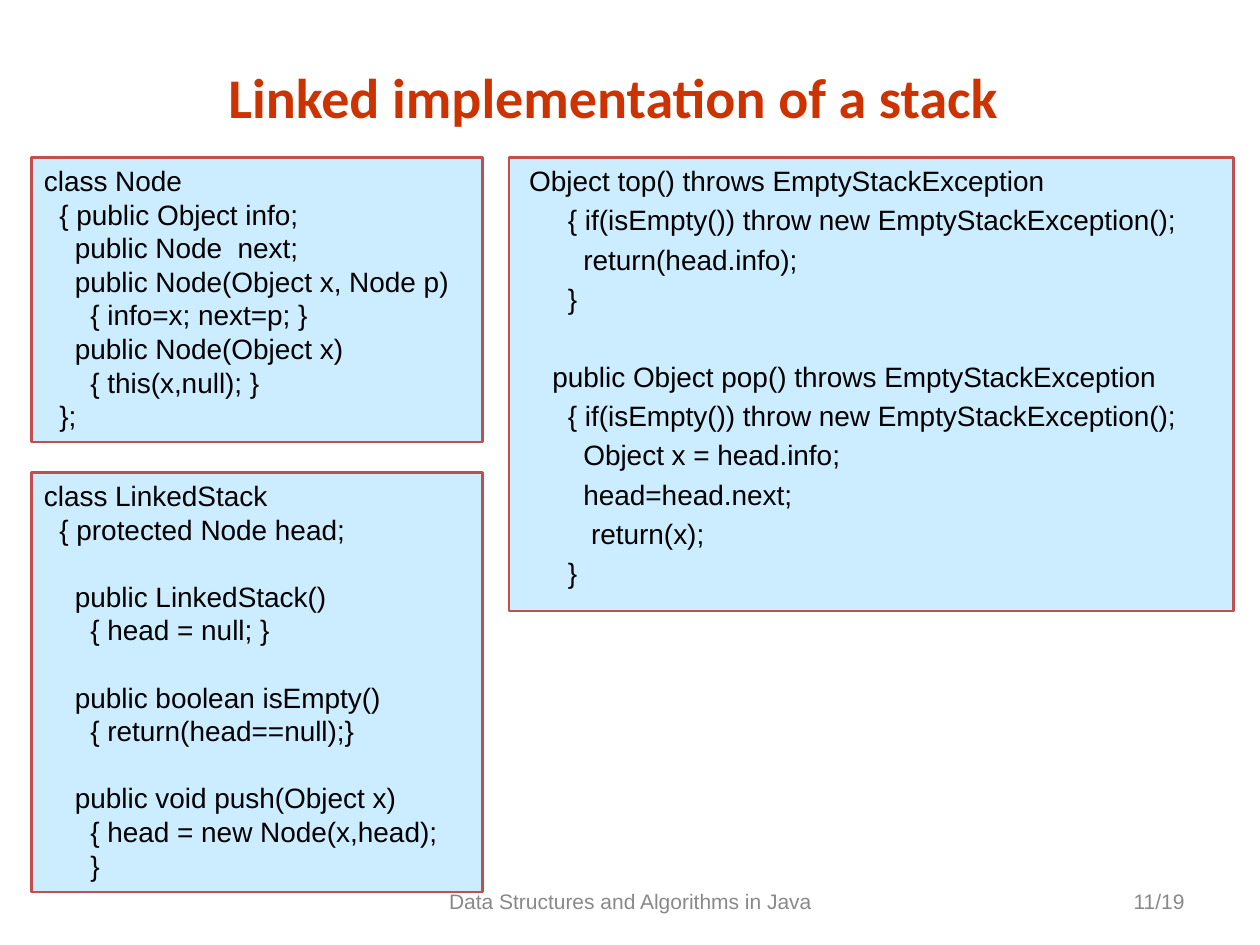
"""Build the slide on the linked implementation of a stack."""
import pptx
import pptx.dml.color
import pptx.enum.shapes
import pptx.enum.text
import pptx.util

Inches, Pt = pptx.util.Inches, pptx.util.Pt
ALIGN = pptx.enum.text.PP_ALIGN
ANCHOR = pptx.enum.text.MSO_ANCHOR

TITLE = "Linked implementation of a stack"
LINE_HEIGHT = 19.2

NODE_CLASS = [[
    "class Node",
    "  { public Object info;",
    "    public Node  next;",
    "    public Node(Object x, Node p)",
    "      { info=x; next=p; }",
    "    public Node(Object x)",
    "      { this(x,null); }",
    "  };",
]]
STACK_CLASS = [
    ["class LinkedStack", "  { protected Node head;"],
    ["    public LinkedStack()", "      { head = null; }"],
    ["    public boolean isEmpty()", "      { return(head==null);}"],
    ["    public void push(Object x)", "      { head = new Node(x,head);", "      }"],
]
STACK_METHODS = [
    [
        " Object top() throws EmptyStackException",
        "      { if(isEmpty()) throw new EmptyStackException();",
        "        return(head.info);",
        "      }",
    ],
    [
        "    public Object pop() throws EmptyStackException",
        "      { if(isEmpty()) throw new EmptyStackException();",
        "        Object x = head.info;",
        "        head=head.next;",
        "         return(x);",
        "      }",
    ],
]
CODE_BOXES = [
    (NODE_CLASS, (0.25, 1.25, 3.58, 2.26), 0),
    (STACK_CLASS, (0.25, 3.75, 3.58, 3.33), 0),
    (STACK_METHODS, (4.04, 1.25, 5.75, 3.6), 3.2),
]
FOOTERS = [
    ("Data Structures and Algorithms in Java", (3.17, 6.95, 3.67, 0.4), ALIGN.CENTER),
    ("11/19", (7.17, 6.95, 2.33, 0.4), ALIGN.RIGHT),
]


def color(value):
    return pptx.dml.color.RGBColor.from_string(value)


def style(paragraph, name, size, value, align, bold=False):
    font = paragraph.font
    font.name, font.size, font.bold = name, Pt(size), bold
    font.color.rgb = color(value)
    paragraph.alignment = align


def add_title(page):
    title = page.shapes.title
    title.left, title.top = Inches(0.33), Inches(0.45)
    title.width, title.height = Inches(9.08), Inches(0.63)
    title.text_frame.text = TITLE
    title.text_frame.vertical_anchor = ANCHOR.MIDDLE
    style(title.text_frame.paragraphs[0], "Calibri", 32, "CC3300", ALIGN.CENTER, True)


def add_code(page, blocks, place, gap):
    box = page.shapes.add_shape(
        pptx.enum.shapes.MSO_SHAPE.RECTANGLE, *map(Inches, place))
    box.shadow.inherit = False
    box.fill.solid()
    box.fill.fore_color.rgb = color("CCECFF")
    box.line.color.rgb = color("C0504D")
    box.line.width = Pt(1.5)
    frame = box.text_frame
    frame.word_wrap = True
    frame.vertical_anchor = ANCHOR.TOP
    frame.text = "\n".join(line for block in blocks for line in block)
    positions = [(b, i) for b, block in enumerate(blocks) for i in range(len(block))]
    for paragraph, (block_index, line_index) in zip(frame.paragraphs, positions):
        style(paragraph, "Arial", 16, "000000", ALIGN.LEFT)
        paragraph.line_spacing = Pt(LINE_HEIGHT)
        if line_index:
            paragraph.space_before = Pt(gap)
        elif block_index:
            paragraph.space_before = Pt(LINE_HEIGHT + 2 * gap)


def add_footer(page, text, place, align):
    box = page.shapes.add_textbox(*map(Inches, place))
    frame = box.text_frame
    frame.word_wrap = True
    frame.vertical_anchor = ANCHOR.MIDDLE
    frame.text = text
    style(frame.paragraphs[0], "Arial", 12, "898989", align)


def main():
    deck = pptx.Presentation()
    deck.slide_width, deck.slide_height = Inches(10), Inches(7.5)
    page = deck.slides.add_slide(deck.slide_layouts[5])
    for footer in FOOTERS:
        add_footer(page, *footer)
    add_title(page)
    for code in CODE_BOXES:
        add_code(page, *code)
    deck.save("out.pptx")


if __name__ == "__main__":
    main()
